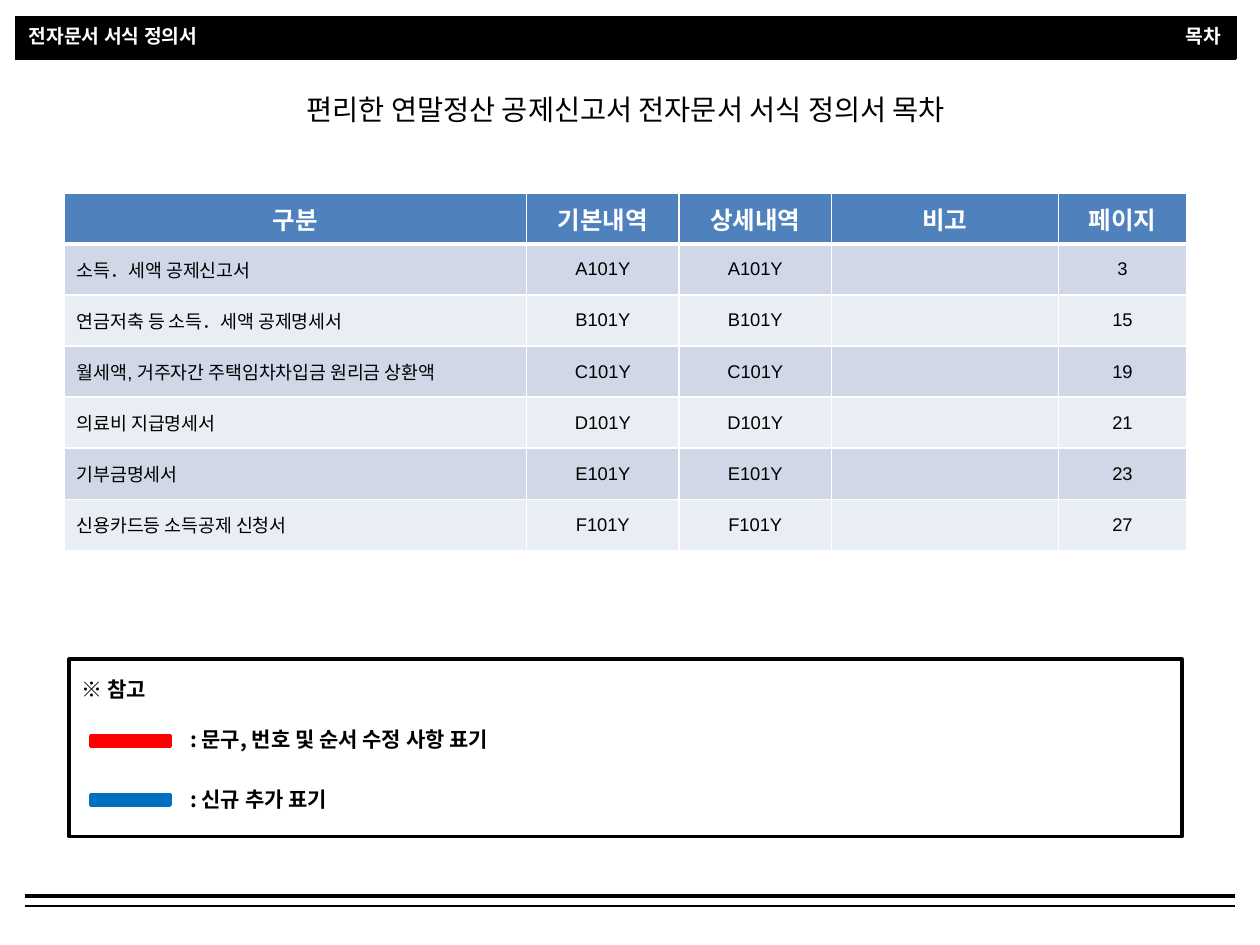
from dataclasses import dataclass

from lxml import etree
from pptx import Presentation
from pptx.dml.color import RGBColor
from pptx.enum.shapes import MSO_CONNECTOR, MSO_SHAPE
from pptx.enum.text import MSO_ANCHOR, PP_ALIGN
from pptx.oxml.ns import qn
from pptx.util import Pt

LEFT, MID, RIGHT = PP_ALIGN.LEFT, PP_ALIGN.CENTER, PP_ALIGN.RIGHT
TOP, CENTER = MSO_ANCHOR.TOP, MSO_ANCHOR.MIDDLE
RECT, LINE = MSO_SHAPE.RECTANGLE, MSO_CONNECTOR.STRAIGHT
PX = 9144


@dataclass(frozen=True)
class Theme:
    """Colours, fonts and type sizes of the slide."""
    black: str = "000000"
    white: str = "FFFFFF"
    head: str = "4F81BD"
    bands: tuple = ("D0D8E8", "E9EDF4")
    red: str = "FF0000"
    blue: str = "0070C0"
    sans: str = "Noto Sans CJK KR"
    latin: str = "Arial"
    title: float = 16.2
    column: float = 14
    note: float = 12
    label: float = 11
    body: float = 10.5


T = Theme()
HEADS = ("구분", "기본내역", "상세내역", "비고", "페이지")
FORMS = (
    ("소득．세액 공제신고서", "A101Y", "3"),
    ("연금저축 등 소득．세액 공제명세서", "B101Y", "15"),
    ("월세액, 거주자간 주택임차차입금 원리금 상환액", "C101Y", "19"),
    ("의료비 지급명세서", "D101Y", "21"),
    ("기부금명세서", "E101Y", "23"),
    ("신용카드등 소득공제 신청서", "F101Y", "27"),
)
WIDTHS = (367, 121, 121, 180, 102)


def scale(*box):
    """Turn px lengths into EMU."""
    return [n * PX for n in box]


def write(frame, text, size, color=T.black, bold=False, align=LEFT, face=T.sans):
    """Write one styled paragraph into a text frame."""
    par = frame.paragraphs[0]
    par.text = text
    par.alignment = align
    font = par.font
    font.size, font.bold, font.name = Pt(size), bold, face
    font.color.rgb = RGBColor.from_string(color)
    props = par._p.pPr.find(qn("a:defRPr"))
    etree.SubElement(props, qn("a:ea"), typeface=T.sans)


def label(slide, box, text, size, anchor=TOP, **style):
    """Add a wrapped text box."""
    frame = slide.shapes.add_textbox(*scale(*box)).text_frame
    frame.word_wrap = True
    frame.vertical_anchor = anchor
    write(frame, text, size, **style)


def block(slide, box, fill=None, line=None):
    """Add a plain rectangle with an optional fill and outline."""
    shape = slide.shapes.add_shape(RECT, *scale(*box))
    shape.shadow.inherit = False
    if fill:
        shape.fill.solid()
        shape.fill.fore_color.rgb = RGBColor.from_string(fill)
    else:
        shape.fill.background()
    if line:
        shape.line.color.rgb = RGBColor.from_string(line)
        shape.line.width = Pt(2)
    else:
        shape.line.fill.background()
    return shape


def paint(cell, fill, line, left=1, right=1, top=1, bottom=1):
    """Give a cell its fill and its border widths in points."""
    props = cell._tc.get_or_add_tcPr()
    for side, width in zip("LRTB", (left, right, top, bottom)):
        edge = etree.SubElement(props, qn(f"a:ln{side}"), w=str(Pt(width)))
        solid = etree.SubElement(edge, qn("a:solidFill"))
        etree.SubElement(solid, qn("a:srgbClr"), val=line)
    cell.fill.solid()
    cell.fill.fore_color.rgb = RGBColor.from_string(fill)
    cell.vertical_anchor = CENTER


def banner(slide, x, y, w, h):
    """Draw the black top bar with its two labels."""
    cell = slide.shapes.add_table(1, 1, *scale(x, y, w, h)).table.cell(0, 0)
    cell.margin_top = cell.margin_bottom = 0
    paint(cell, T.black, T.black, 0.25, 0.25, 0.25, 0.25)
    wide = 227
    for left, text, align in ((x + 1, "전자문서 서식 정의서", LEFT),
                              (x + w - wide - 2, "목차", RIGHT)):
        shape = block(slide, (left, y + 3, wide, 25), T.black)
        shape.text_frame.vertical_anchor = CENTER
        write(shape.text_frame, text, T.label, T.white, True, align)


def index(slide, x, y, w, h):
    """Draw the table of forms."""
    rows = [HEADS] + [(name, code, code, "", page) for name, code, page in FORMS]
    grid = slide.shapes.add_table(len(rows), len(HEADS), *scale(x, y, w, h)).table
    for col, wide in zip(grid.columns, WIDTHS):
        col.width = wide * PX
    for r, row in enumerate(rows):
        for c, text in enumerate(row):
            cell = grid.cell(r, c)
            fill = T.bands[(r - 1) % 2] if r else T.head
            paint(cell, fill, T.white, top=3 if r == 1 else 1, bottom=1 if r else 3)
            if not r:
                write(cell.text_frame, text, T.column, T.white, True, MID)
            elif text:
                align = MID if c else LEFT
                write(cell.text_frame, text, T.body, align=align, face=T.latin)


def legend(slide, x, y, w, h):
    """Draw the framed note with its colour keys."""
    block(slide, (x, y, w, h), line=T.black)
    label(slide, (x, y + 9, 445, 30), "※ 참고", T.note, bold=True)
    keys = ((T.red, ": 문구, 번호 및 순서 수정 사항 표기"), (T.blue, ": 신규 추가 표기"))
    for i, (color, text) in enumerate(keys):
        top = y + 49 + 47 * i
        block(slide, (x + 17, top + 12, 63, 8), color, color)
        label(slide, (x + 86, top, 445, 30), text, T.note, bold=True)


def footer(slide, x, y, w, h):
    """Draw the thick and the thin closing rule."""
    for top, width in ((y, 2), (y + h, 0.75)):
        rule = slide.shapes.add_connector(LINE, *scale(x, top, x + w, top))
        rule.line.color.rgb = RGBColor.from_string(T.black)
        rule.line.width = Pt(width)
        etree.SubElement(rule._element.spPr, qn("a:effectLst"))


def main():
    """Build and save the slide."""
    deck = Presentation()
    deck.slide_width, deck.slide_height = scale(1000, 750)
    slide = deck.slides.add_slide(deck.slide_layouts[6])
    label(slide, (176, 62, 641, 50), "편리한 연말정산 공제신고서 전자문서 서식 정의서 목차",
          T.title, CENTER, align=MID)
    banner(slide, 12, 13, 969, 34)
    footer(slide, 20, 711, 960, 8)
    index(slide, 51, 153, sum(WIDTHS), 284)
    legend(slide, 55, 523, 883, 141)
    deck.save("out.pptx")


if __name__ == "__main__":
    main()
